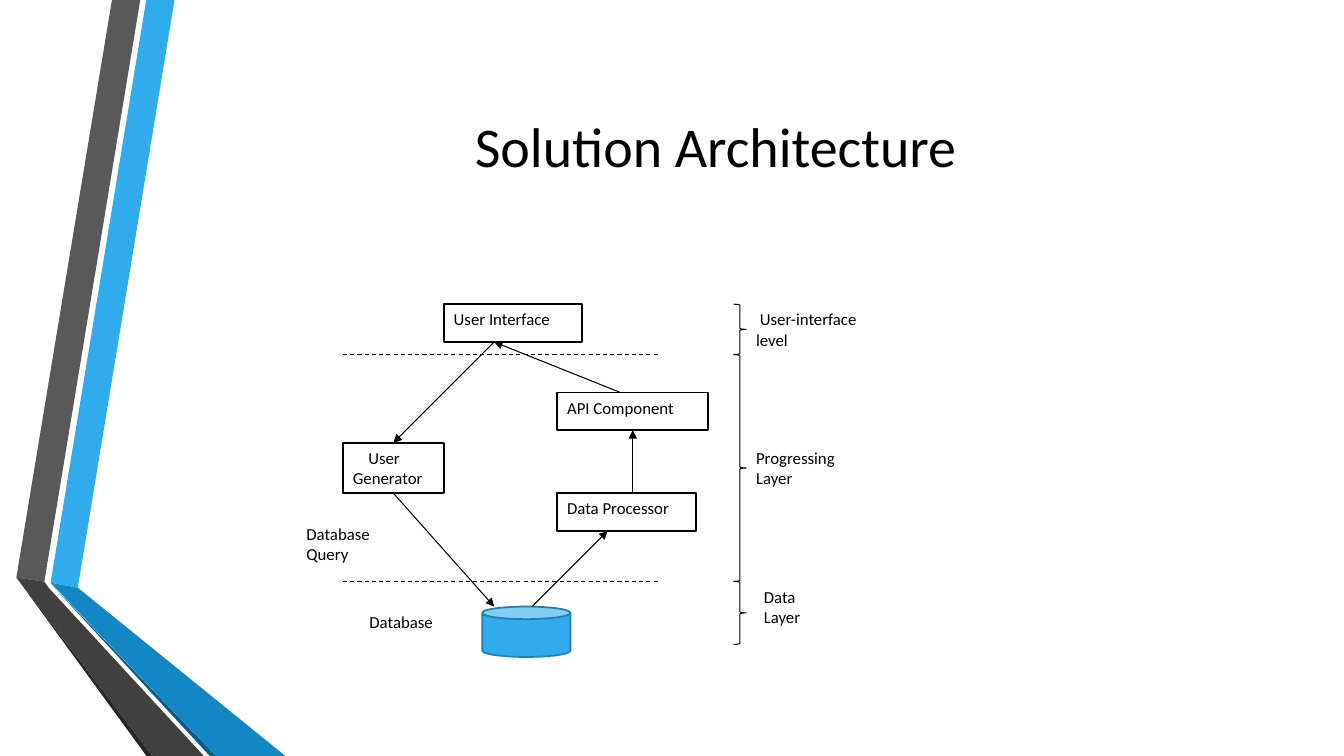
from pptx import Presentation
from pptx.dml.color import RGBColor
from pptx.enum.dml import MSO_LINE_DASH_STYLE as Dash
from pptx.enum.shapes import MSO_CONNECTOR as Link, MSO_SHAPE as Shape
from pptx.enum.text import MSO_ANCHOR as Anchor, PP_ALIGN as Align
from pptx.oxml.ns import qn
from pptx.util import Pt
from lxml.etree import SubElement

BLACK = RGBColor(0x00, 0x00, 0x00)
WHITE = RGBColor(0xFF, 0xFF, 0xFF)
BLUE = RGBColor(0x30, 0xAC, 0xEC)
BLUE_EDGE = RGBColor(0x24, 0x7F, 0xAF)
MID_BLUE = RGBColor(0x12, 0x87, 0xC3)
DEEP_BLUE = RGBColor(0x0C, 0x5A, 0x82)
GRAY = RGBColor(0x59, 0x59, 0x59)
DARK_GRAY = RGBColor(0x40, 0x40, 0x40)
NEAR_BLACK = RGBColor(0x26, 0x26, 0x26)
FONT = "Calibri"

# Ribbon pieces: colour and corner points within the ribbon box
RIBBONS = [
    (BLUE, [(24.5, 416.2), (43.9, 419.8), (113, 0), (92.8, 0)]),
    (GRAY, [(88.5, 0), (68.3, 0), (0, 412.5), (20, 415.5)]),
    (NEAR_BLACK, [(0, 412.5), (92.9, 540), (97.2, 540)]),
    (DEEP_BLUE, [(24.5, 416.9), (138.2, 540), (142.6, 540)]),
    (MID_BLUE, [(24.5, 416.2), (142.6, 540), (192.2, 540), (43.9, 419.8)]),
    (DARK_GRAY, [(133.9, 540), (23, 419.8), (20, 415.5), (0, 412.5), (97.2, 540)]),
]
# Components: lines, box within the diagram, first-line and left indent
COMPONENTS = [
    (["User Interface"], (108, 0, 99, 27), [0]),
    (["User", "Generator"], (36, 99, 72, 36), [11, 0]),
    (["API Component"], (189, 63, 108, 27), [0]),
    (["Data Processor"], (189, 135, 99, 27), [0]),
]
ARROWS = [
    ((144, 27), (72, 99)),
    ((234, 63), (144, 27)),
    ((243, 135), (243, 90)),
    ((72, 135), (144, 216)),
    ((171, 216), (225, 162)),
]
LEVELS = [0, 36, 198, 243]
LABELS = [
    (["User-interface level"], (324, 0, 90, 36), [2.7], 0),
    (["Progressing", "Layer"], (324, 99, 81, 45), [0, 0], 0),
    (["Data", "Layer"], (324, 198, 72, 36), [0, 0], 5.4),
    (["Database"], (45, 216, 72, 36), [0], 2.7),
    (["Database", "Query"], (0, 153, 72, 36), [0, 0], 2.7),
]


def set_all(target, values):
    """Set each attribute named in values on target."""
    for name, value in values.items():
        setattr(target, name, value)


def paint(shape, fill=None, line=None, width=1.25):
    """Give a shape its fill and line, without shadow."""
    shape.shadow.inherit = False
    if fill is None:
        shape.fill.background()
    else:
        shape.fill.solid()
        shape.fill.fore_color.rgb = fill
    if line is None:
        shape.line.fill.background()
    else:
        shape.line.color.rgb = line
        shape.line.width = Pt(width)


def write(shape, lines, size, align=Align.LEFT, anchor=Anchor.TOP, indents=(0,), margin=0):
    """Write one paragraph per line, each with its first-line indent."""
    frame = shape.text_frame
    set_all(frame, {
        "word_wrap": True, "vertical_anchor": anchor,
        "margin_left": Pt(7.2 + margin), "margin_right": Pt(7.2),
        "margin_top": Pt(3.6), "margin_bottom": Pt(3.6),
    })
    for index, (line, indent) in enumerate(zip(lines, indents)):
        para = frame.add_paragraph() if index else frame.paragraphs[0]
        para.alignment = align
        if indent:
            para._p.get_or_add_pPr().set("indent", str(Pt(indent)))
        span = para.add_run()
        span.text = line
        set_all(span.font, {"name": FONT, "size": Pt(size)})
        span.font.color.rgb = BLACK


def place(box, left, top, width, height):
    """Return a position within box as lengths."""
    return Pt(box[0] + left), Pt(box[1] + top), Pt(width), Pt(height)


def draw_line(page, box, start, end, dashed=False, arrow=False):
    """Draw a thin black line between two points within box."""
    ends = [Pt(origin + offset) for point in (start, end) for origin, offset in zip(box, point)]
    line = page.shapes.add_connector(Link.STRAIGHT, *ends)
    line.line.color.rgb = BLACK
    line.line.width = Pt(0.75)
    if dashed:
        line.line.dash_style = Dash.DASH
    if arrow:
        SubElement(line.line._get_or_add_ln(), qn("a:tailEnd"), type="triangle")
    SubElement(line._element.spPr, qn("a:effectLst"))


def draw_ribbons(page, box):
    """Draw the folded ribbons down the left side."""
    for color, points in RIBBONS:
        corners = [(Pt(box[0] + x), Pt(box[1] + y)) for x, y in points]
        outline = page.shapes.build_freeform(*corners[0], scale=1.0)
        outline.add_line_segments(corners[1:], close=True)
        paint(outline.convert_to_shape(), color)


def add_title(page, box, text):
    """Move the title placeholder into box and fill it."""
    title = page.shapes.title
    left, top, width, height = map(Pt, box)
    set_all(title, {"left": left, "top": top, "width": width, "height": height})
    write(title, [text], 40, Align.CENTER, Anchor.MIDDLE)


def draw_architecture(page, box):
    """Draw components, database, arrows and layers of the architecture."""
    for level in LEVELS[1:3]:
        draw_line(page, box, (36, level), (261, level), dashed=True)
    for lines, area, indents in COMPONENTS:
        component = page.shapes.add_shape(Shape.RECTANGLE, *place(box, *area))
        paint(component, WHITE, BLACK)
        write(component, lines, 12, indents=indents)
    database = page.shapes.add_shape(Shape.CAN, *place(box, 135.4, 216, 63, 36))
    paint(database, BLUE, BLUE_EDGE)
    for start, end in ARROWS:
        draw_line(page, box, start, end, arrow=True)
    for top, bottom in zip(LEVELS, LEVELS[1:]):
        brace = page.shapes.add_shape(Shape.RIGHT_BRACE, *place(box, 315, top, 9, bottom - top))
        paint(brace, line=BLACK, width=0.75)
    for lines, area, indents, margin in LABELS:
        label = page.shapes.add_textbox(*place(box, *area))
        write(label, lines, 12, indents=indents, margin=margin)


deck = Presentation()
deck.slide_width, deck.slide_height = Pt(960), Pt(540)
page = deck.slides.add_slide(deck.slide_layouts[5])
draw_ribbons(page, (11.7, 0, 192.2, 540))
add_title(page, (116.6, 54, 789, 100), "Solution Architecture")
draw_architecture(page, (209, 217.3, 414, 252))
deck.save("out.pptx")
